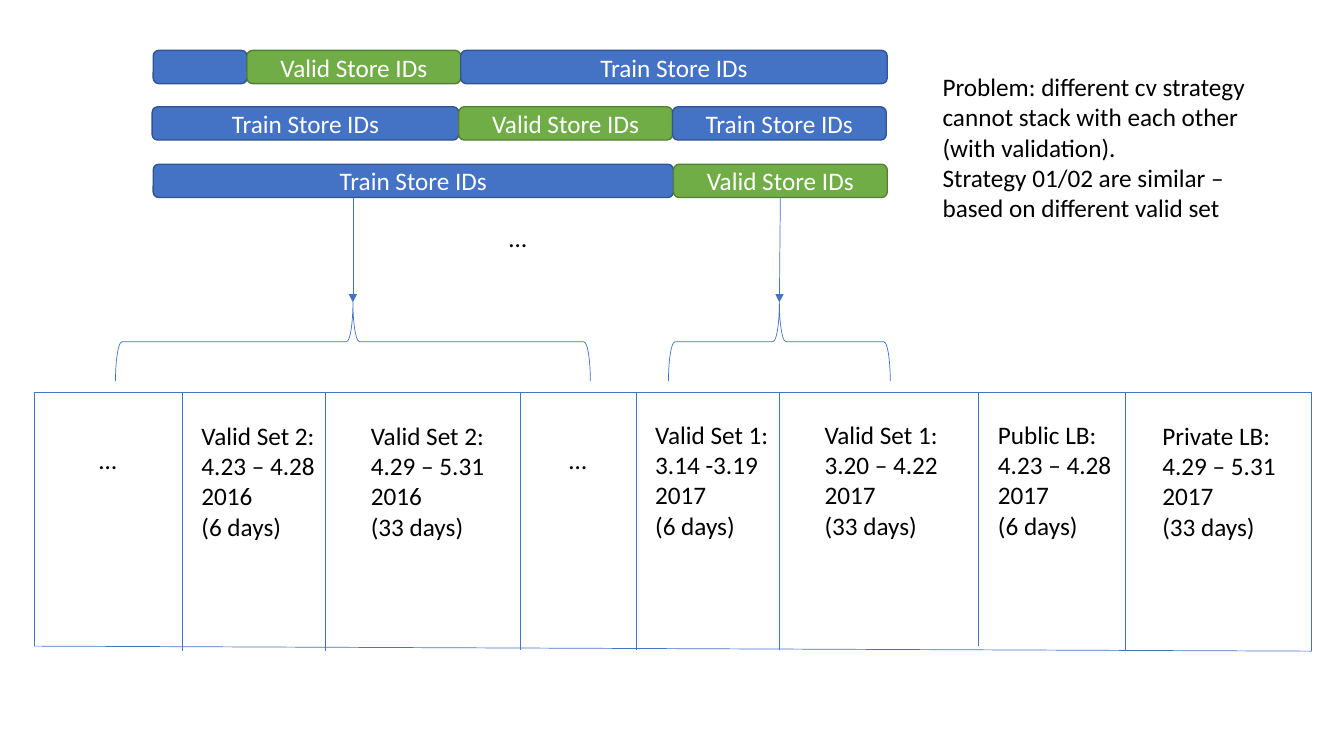
from pptx import Presentation
from pptx.dml.color import RGBColor
from pptx.enum.shapes import MSO_CONNECTOR, MSO_SHAPE
from pptx.enum.text import MSO_ANCHOR, PP_ALIGN
from pptx.oxml.ns import qn
from pptx.util import Inches, Pt
from lxml import etree

BLUE = RGBColor(0x44, 0x72, 0xC4)
DARK_BLUE = RGBColor(0x32, 0x54, 0x91)
GREEN = RGBColor(0x70, 0xAD, 0x47)
DARK_GREEN = RGBColor(0x53, 0x80, 0x35)
WHITE = RGBColor(0xFF, 0xFF, 0xFF)
BLACK = RGBColor(0, 0, 0)

# Content: each fold is (top, left, [(kind, width), ...])
TRAIN, VALID, UNNAMED = "Train Store IDs", "Valid Store IDs", ""
FOLDS = [
    (0.5, 1.52, [(UNNAMED, 0.93), (VALID, 2.12), (TRAIN, 4.23)]),
    (1.06, 1.51, [(TRAIN, 3.04), (VALID, 2.12), (TRAIN, 2.12)]),
    (1.63, 1.52, [(TRAIN, 5.16), (VALID, 2.12)]),
]
BAR_H = 0.33

PROBLEM = [
    "Problem: different cv strategy cannot stack with each other (with validation).",
    "Strategy 01/02 are similar – based on different valid set",
]

# Timeline periods: (text left, text top, lines)
PERIODS = [
    (1.9, 4.12, ["Valid Set 2:", "4.23 – 4.28", "2016", "(6 days)"]),
    (3.58, 4.12, ["Valid Set 2:", "4.29 – 5.31", "2016", "(33 days)"]),
    (6.4, 4.11, ["Valid Set 1:", "3.14 -3.19", "2017", "(6 days)"]),
    (8.08, 4.11, ["Valid Set 1:", "3.20 – 4.22", "2017", "(33 days)"]),
    (9.8, 4.11, ["Public LB: 4.23 – 4.28", "2017", "(6 days)"]),
    (11.43, 4.12, ["Private LB: 4.29 – 5.31", "2017", "(33 days)"]),
]
ELLIPSES = [(3.41, 2.16, 3.45), (0.13, 4.36, 1.88), (4.79, 4.36, 1.88)]

# Timeline frame and dividers: (x, bottom)
LEFT, RIGHT, TOP = 0.34, 13.01, 3.89
LEFT_BOTTOM, RIGHT_BOTTOM = 6.41, 6.46
DIVIDERS = [(LEFT, LEFT_BOTTOM), (1.81, 6.46), (3.23, 6.46), (5.16, 6.45),
            (6.31, 6.45), (7.73, 6.45), (9.7, 6.41), (11.16, 6.46),
            (RIGHT, RIGHT_BOTTOM)]

# Braces: (arrow start x, centre x, span)
BRACES = [(3.5, 3.5, 4.71), (7.74, 7.73, 2.2)]
ARROW_TOP, BRACE_TOP, BRACE_H = 1.96, 3.0, 0.78

prs = Presentation()
prs.slide_width, prs.slide_height = Inches(13.33), Inches(7.5)
s = prs.slides.add_slide(prs.slide_layouts[6])


def write(tf, lines, color, align):
    tf.word_wrap = True
    for i, line in enumerate(lines):
        p = tf.paragraphs[0] if i == 0 else tf.add_paragraph()
        p.text = line
        p.alignment = align
        p.font.name, p.font.size = "Calibri", Pt(18)
        p.font.color.rgb = color


def add_text(x, y, w, h, lines, align=PP_ALIGN.LEFT):
    box = s.shapes.add_textbox(Inches(x), Inches(y), Inches(w), Inches(h))
    write(box.text_frame, lines, BLACK, align)


def add_shape(kind, x, y, w, h, line, width):
    sp = s.shapes.add_shape(kind, Inches(x), Inches(y), Inches(w), Inches(h))
    sp.shadow.inherit = False
    sp.line.color.rgb, sp.line.width = line, Pt(width)
    return sp


def add_line(x1, y1, x2, y2, arrow=False):
    c = s.shapes.add_connector(MSO_CONNECTOR.STRAIGHT, Inches(x1), Inches(y1),
                               Inches(x2), Inches(y2))
    c.line.color.rgb, c.line.width = BLUE, Pt(0.5)
    if arrow:
        etree.SubElement(c.line._get_or_add_ln(), qn("a:tailEnd"), type="triangle")
    etree.SubElement(c._element.spPr, qn("a:effectLst"))


# Fold bars, laid end to end
for y, x, parts in FOLDS:
    for label, w in parts:
        fill, line = (GREEN, DARK_GREEN) if label == VALID else (BLUE, DARK_BLUE)
        bar = add_shape(MSO_SHAPE.ROUNDED_RECTANGLE, x, y, w, BAR_H, line, 1)
        bar.fill.solid()
        bar.fill.fore_color.rgb = fill
        if label:
            bar.text_frame.vertical_anchor = MSO_ANCHOR.MIDDLE
            write(bar.text_frame, [label], WHITE, PP_ALIGN.CENTER)
        x += w

# Problem note
add_text(9.25, 0.66, 3.45, 1.62, PROBLEM)

# Arrows and braces; a left brace turned 90 degrees points up
for start_x, cx, span in BRACES:
    cy = BRACE_TOP + BRACE_H / 2
    brace = add_shape(MSO_SHAPE.LEFT_BRACE, cx - BRACE_H / 2, cy - span / 2,
                      BRACE_H, span, BLUE, 0.5)
    brace.rotation = 90
    brace.fill.background()
    add_line(start_x, ARROW_TOP, cx, BRACE_TOP, arrow=True)

# Timeline frame
add_line(LEFT, TOP, RIGHT, TOP)
add_line(RIGHT, RIGHT_BOTTOM, LEFT, LEFT_BOTTOM)
for x, bottom in DIVIDERS:
    add_line(x, TOP, x, bottom)

# Timeline labels
for x, y, lines in PERIODS:
    add_text(x, y, 1.46, 1.31, lines)
for x, y, w in ELLIPSES:
    add_text(x, y, w, 0.4, ["…"], PP_ALIGN.CENTER)

prs.save("out.pptx")
